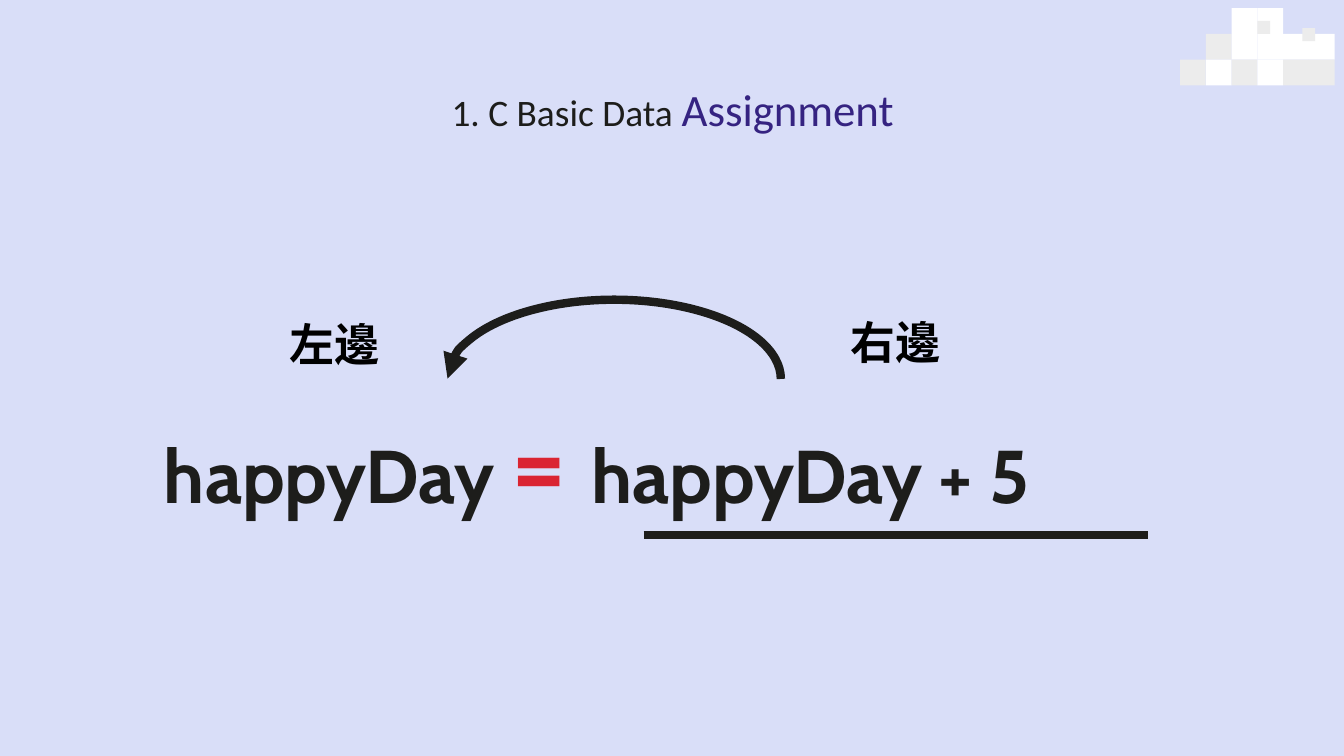
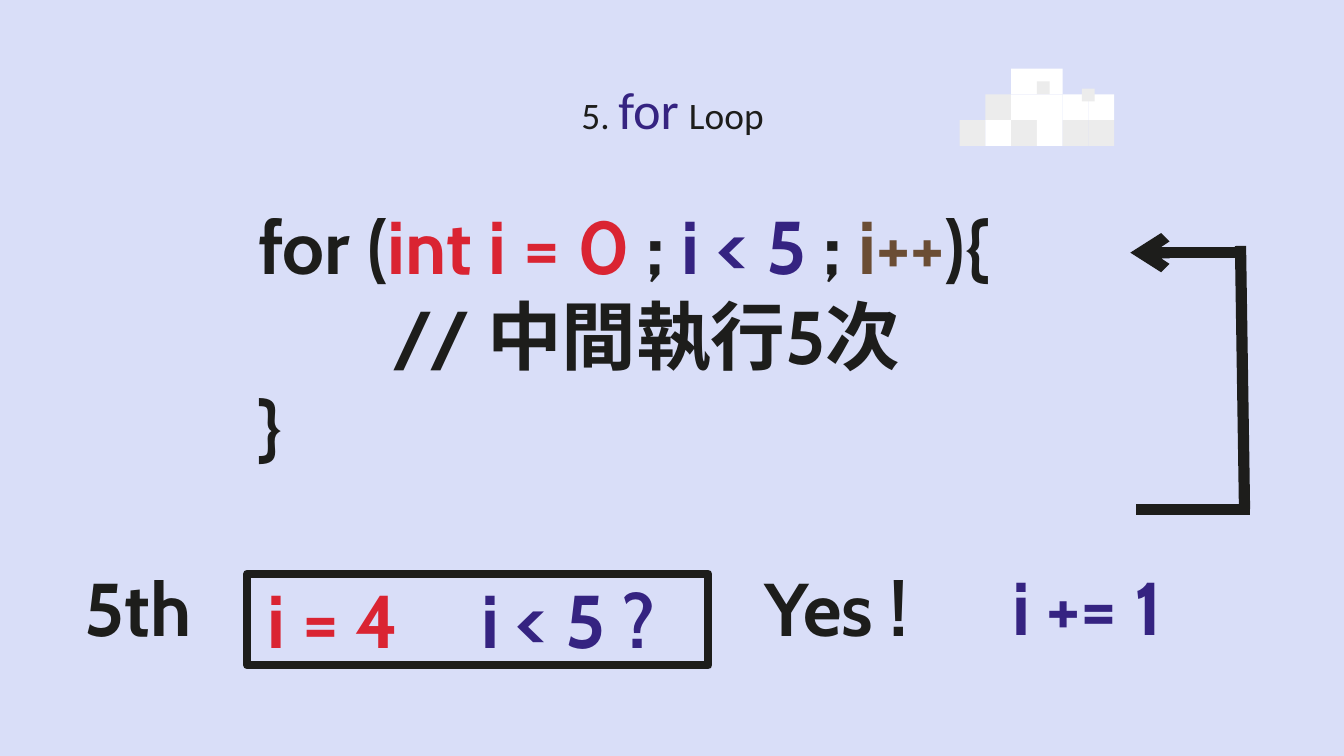
from lxml.etree import SubElement
from pptx import Presentation
from pptx.dml.color import RGBColor
from pptx.enum.shapes import MSO_CONNECTOR, MSO_SHAPE
from pptx.enum.text import MSO_ANCHOR, PP_ALIGN
from pptx.oxml.ns import qn
from pptx.util import Inches, Pt

BACKGROUND, INK, BLACK = "D9DEF8", "1D1D1B", "000000"
RED, PURPLE, BROWN = "DA2432", "352381", "6B4D34"
CLOUD_COLORS = {"w": "FFFFFF", "g": "ECECEC"}
CLOUD_ROWS = ("  ww  ", " gwwww", "gwgwgg")
CELL = 1.15 / 6
DOT = CELL / 2
CLOUD_DOTS = ((3 * CELL, DOT), (0.91, 0.15))


def rgb(color):
    """Turn a hex string into a colour."""
    return RGBColor.from_string(color)


class Deck:
    """Hold the shared style and the current slide."""

    def __init__(self):
        """Start an empty 16:9 presentation."""
        self.prs = Presentation()
        self.prs.slide_width, self.prs.slide_height = Inches(10), Inches(10 * 9 / 16)
        self.s = None

    def slide(self, title, cloud):
        """Add a slide with its background, title and pixel cloud."""
        self.s = self.prs.slides.add_slide(self.prs.slide_layouts[6])
        self.s.background.fill.solid()
        self.s.background.fill.fore_color.rgb = rgb(BACKGROUND)
        self.text((0.79, 0.49, 8.43, 0.63), [title], font="Calibri", bold=False,
                  align=PP_ALIGN.CENTER, anchor=MSO_ANCHOR.MIDDLE)
        self.cloud(*cloud)

    def text(self, box, paragraphs, font="Cabin", bold=True, align=None,
             anchor=MSO_ANCHOR.TOP):
        """Add a text box of paragraphs made of (text, size, colour) runs."""
        tf = self.s.shapes.add_textbox(*map(Inches, box)).text_frame
        tf.word_wrap, tf.vertical_anchor = True, anchor
        tf.margin_left = tf.margin_right = tf.margin_top = tf.margin_bottom = 0
        for i, runs in enumerate(paragraphs):
            p = tf.add_paragraph() if i else tf.paragraphs[0]
            p.alignment = align
            if runs[0][0].startswith("\t"):
                self.tab_stop(p, 1)
            p.font.name, p.font.bold = font, bold
            same_size = len({size for _, size, _ in runs}) == 1
            same_color = len({color for _, _, color in runs}) == 1
            for words, size, color in runs:
                r = p.add_run()
                r.text = words
                (p if same_size else r).font.size = Pt(size)
                (p if same_color else r).font.color.rgb = rgb(color)

    def tab_stop(self, p, position):
        """Give a paragraph one left tab stop."""
        tabs = SubElement(p._p.get_or_add_pPr(), qn("a:tabLst"))
        SubElement(tabs, qn("a:tab"), pos=str(Inches(position)), algn="l")

    def shape(self, kind, box, fill=None, width=None):
        """Add a preset shape that is either filled or outlined."""
        sp = self.s.shapes.add_shape(kind, *map(Inches, box))
        sp.shadow.inherit = False
        if fill:
            sp.fill.solid()
            sp.fill.fore_color.rgb = rgb(fill)
        else:
            sp.fill.background()
        if width:
            self.stroke(sp, width)
        else:
            sp.line.fill.background()
        return sp

    def stroke(self, sp, width, end=None, arrow=None):
        """Set an ink line, with an arrowhead at headEnd or tailEnd."""
        sp.line.color.rgb, sp.line.width = rgb(INK), Pt(width)
        if end:
            ln = sp._element.spPr.find(qn("a:ln"))
            SubElement(ln, qn("a:" + end), type=arrow)

    def line(self, start, stop, width, end=None, arrow=None):
        """Add a straight line."""
        cn = self.s.shapes.add_connector(
            MSO_CONNECTOR.STRAIGHT, *map(Inches, (*start, *stop)))
        self.stroke(cn, width, end, arrow)
        SubElement(cn._element.spPr, qn("a:effectLst"))

    def cloud(self, left, top):
        """Draw the pixel cloud from its rows and dots."""
        for row, cells in enumerate(CLOUD_ROWS):
            for col, cell in enumerate(cells):
                if cell in CLOUD_COLORS:
                    self.shape(MSO_SHAPE.RECTANGLE,
                               (left + col * CELL, top + row * CELL, CELL, CELL),
                               CLOUD_COLORS[cell])
        for dx, dy in CLOUD_DOTS:
            self.shape(MSO_SHAPE.RECTANGLE, (left + dx, top + dy, DOT, DOT),
                       CLOUD_COLORS["g"])


def assignment(deck):
    """Build the assignment slide."""
    deck.slide([("1. C Basic Data ", 20, INK), ("Assignment", 24, PURPLE)],
               (8.78, 0.06))
    deck.text((1.22, 3.16, 7.55, 0.5),
              [[("happyDay ", 40, INK), ("= ", 60, RED),
                ("happyDay + 5", 40, INK)]], anchor=MSO_ANCHOR.MIDDLE)
    arc = deck.shape(MSO_SHAPE.ARC, (3.33, 2.23, 2.48, 1.18))
    arc.adjustments[0], arc.adjustments[1] = 108.07, 0
    deck.stroke(arc, 4.5, "headEnd", "triangle")
    for side, box in (("右邊", (6.21, 2.29, 0.9, 0.5)),
                      ("左邊", (1.76, 2.31, 1.46, 0.5))):
        deck.text(box, [[(side, 24, BLACK)]], align=PP_ALIGN.CENTER,
                  anchor=MSO_ANCHOR.MIDDLE)
    deck.line((4.79, 3.98), (8.54, 3.98), 4.5)


def for_loop(deck):
    """Build the for loop slide."""
    deck.slide([("5. ", 20, INK), ("for", 28, PURPLE), (" ", 24, PURPLE),
                ("Loop", 20, INK)], (7.14, 0.51))
    header = (("for (", INK), ("int i = 0 ", RED), ("; ", INK),
              ("i < 5 ", PURPLE), ("; ", INK), ("i++", BROWN), ("){", INK))
    deck.text((1.92, 1.49, 6.37, 2.15),
              [[(code, 40, color) for code, color in header],
               [("\t// 中間執行5次", 40, INK)], [("}", 40, INK)]])
    for words, color, left, top, width in (
            ("5th", INK, 0.63, 4.18, 1.1), ("i = 4", RED, 1.99, 4.27, 1.27),
            ("i < 5 ?", PURPLE, 3.58, 4.27, 1.59),
            ("Yes !", INK, 5.69, 4.18, 1.27),
            ("i += 1", PURPLE, 7.53, 4.17, 1.59)):
        deck.text((left, top, width, 0.87), [[(words, 40, color)]])
    deck.shape(MSO_SHAPE.RECTANGLE, (1.84, 4.27, 3.43, 0.68), width=4.5)
    deck.line((9.23, 1.83), (9.26, 3.79), 6)
    deck.line((9.23, 1.88), (8.41, 1.88), 6, "tailEnd", "arrow")
    deck.line((9.3, 3.79), (8.45, 3.79), 6)


def main():
    """Build and save the slides."""
    deck = Deck()
    assignment(deck)
    for_loop(deck)
    deck.prs.save("out.pptx")


if __name__ == "__main__":
    main()
